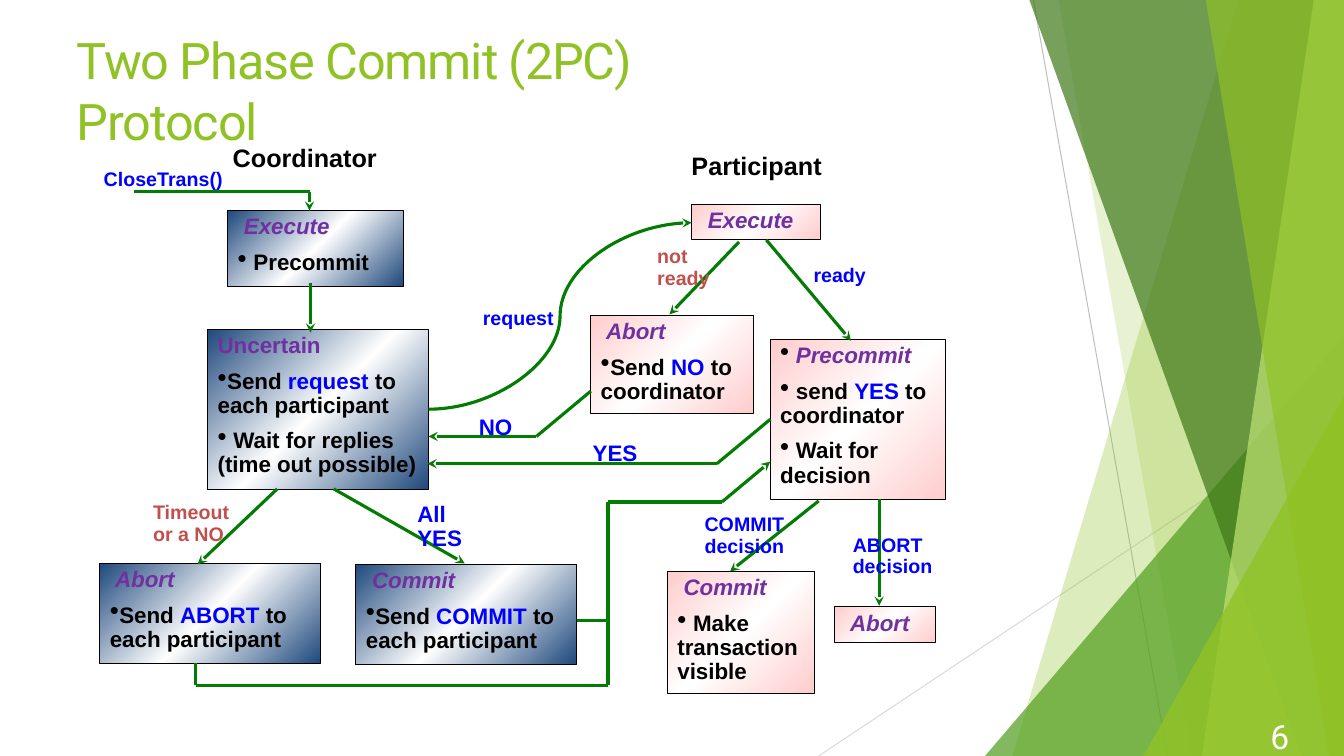
from copy import deepcopy
from dataclasses import dataclass

from lxml import etree
from pptx import Presentation
from pptx.dml.color import RGBColor
from pptx.enum.shapes import MSO_CONNECTOR, MSO_SHAPE
from pptx.enum.text import MSO_ANCHOR, PP_ALIGN
from pptx.oxml.ns import qn
from pptx.util import Inches, Pt

STRAIGHT, CURVE = MSO_CONNECTOR.STRAIGHT, MSO_CONNECTOR.CURVE
RECTANGLE = MSO_SHAPE.RECTANGLE
TOP, LEFT = MSO_ANCHOR.TOP, PP_ALIGN.LEFT


@dataclass(frozen=True)
class Theme:
    diagram_font: str = "Arial"
    title_font: str = "Roboto"
    black: str = "000000"
    white: str = "FFFFFF"
    title: str = "90C225"
    state: str = "7030A0"
    message: str = "0000FF"
    failure: str = "C0504D"
    arrow: str = "037C03"
    coordinator: str = "1F497D"
    participant: str = "FFCCCC"
    title_size: float = 36
    number_size: float = 24
    role_size: float = 18
    body_size: float = 16
    label_size: float = 14


THEME = Theme()


def add_run(paragraph, text, *, font=THEME.diagram_font, size=THEME.body_size,
            color=THEME.black, bold=True, italic=False, spacing=None):
    run = paragraph.add_run()
    run.text = text
    run.font.name, run.font.size = font, Pt(size)
    run.font.color.rgb = RGBColor.from_string(color)
    run.font.bold, run.font.italic = bold, italic
    if spacing is not None:
        run.font._element.set("spc", str(spacing))


def add_bullet(paragraph):
    properties = paragraph._p.get_or_add_pPr()
    bullet_color = etree.SubElement(properties, qn("a:buClr"))
    etree.SubElement(bullet_color, qn("a:srgbClr"), val=THEME.black)
    etree.SubElement(properties, qn("a:buSzPct"), val="120000")
    etree.SubElement(properties, qn("a:buChar"), char="•")


class CommitSlide:
    """Draws the elements of the commit protocol slide in one theme."""

    def __init__(self, slide, theme):
        self.slide, self.theme = slide, theme

    def facet(self, points, color, opacity):
        start, *others = [(Inches(x), Inches(y)) for x, y in points]
        builder = self.slide.shapes.build_freeform(*start)
        builder.add_line_segments(others, close=True)
        shape = builder.convert_to_shape()
        shape.shadow.inherit = False
        shape.fill.solid()
        shape.fill.fore_color.rgb = RGBColor.from_string(color)
        shape.line.fill.background()
        fill_color = shape._element.spPr.find(qn("a:solidFill"))[0]
        etree.SubElement(fill_color, qn("a:alpha"), val=str(opacity * 1000))

    def line(self, start, end, *, kind=STRAIGHT, color=None, width=2.25, arrow=False):
        connector = self.slide.shapes.add_connector(
            kind, *[Inches(value) for value in (*start, *end)])
        connector.line.color.rgb = RGBColor.from_string(color or self.theme.arrow)
        connector.line.width = Pt(width)
        if arrow:
            etree.SubElement(connector.line._get_or_add_ln(), qn("a:tailEnd"), type="stealth")
        etree.SubElement(connector._element.spPr, qn("a:effectLst"))

    def route(self, points, arrow=True):
        for index, (start, end) in enumerate(zip(points, points[1:]), 2):
            self.line(start, end, arrow=arrow and index == len(points))

    def text(self, area, text, *, inset=True, line_spacing=0.9, **style):
        frame = self.slide.shapes.add_textbox(*[Inches(value) for value in area]).text_frame
        frame.word_wrap = True
        if not inset:
            frame.margin_left = frame.margin_right = 0
            frame.margin_top = frame.margin_bottom = 0
        paragraph = frame.paragraphs[0]
        paragraph.line_spacing = line_spacing
        add_run(paragraph, text, **style)

    def state(self, area, edge, heading, actions=(), *, italic=True, bulleted=False):
        shape = self.slide.shapes.add_shape(RECTANGLE, *[Inches(value) for value in area])
        shape.shadow.inherit = False
        shape.line.color.rgb = RGBColor.from_string(self.theme.black)
        shape.line.width = Pt(0.75)
        shape.fill.gradient()
        shape.fill.gradient_angle = 315
        stop_list = shape._element.spPr.find(".//" + qn("a:gsLst"))
        middle = deepcopy(stop_list[0])
        middle.set("pos", "50000")
        stop_list.insert(1, middle)
        for stop, color in zip(shape.fill.gradient_stops, (edge, self.theme.white, edge)):
            stop.color.rgb = RGBColor.from_string(color)
        frame = shape.text_frame
        frame.word_wrap, frame.vertical_anchor = True, TOP
        paragraph = frame.paragraphs[0]
        if bulleted:
            add_bullet(paragraph)
        paragraph.alignment, paragraph.line_spacing = LEFT, 0.9
        add_run(paragraph, heading, color=self.theme.state, italic=italic)
        for action in actions:
            paragraph = frame.add_paragraph()
            add_bullet(paragraph)
            paragraph.alignment, paragraph.line_spacing = LEFT, 0.9
            paragraph.space_before = Pt(8)
            for index, part in enumerate(action):
                add_run(paragraph, part,
                        color=self.theme.message if index == 1 else self.theme.black)


FACETS = [
    ([(13.33, 0), (12.28, 0), (10.04, 7.5), (13.33, 7.5)], "90C225", 30),
    ([(13.33, 0), (10.5, 0), (11.82, 7.5), (13.33, 7.5)], "90C225", 20),
    ([(13.33, 3.33), (9.77, 7.5), (13.33, 7.5)], "539F20", 72),
    ([(13.33, 0), (10.21, 0), (12.91, 7.5), (13.33, 7.5)], "3E7818", 70),
    ([(13.33, 0), (13.03, 0), (11.92, 7.5), (13.33, 7.5)], "C0E374", 70),
    ([(13.33, 0), (11.96, 0), (13.18, 7.5), (13.33, 7.5)], "90C225", 65),
    ([(13.33, 3.93), (11.34, 7.5), (13.33, 7.5)], "90C225", 80),
]
COORDINATOR_STATES = [
    ((2.26, 2.09, 1.74, 0.75), " Execute", [(" Precommit",)]),
    ((3.53, 5.6, 2.19, 0.99), " Commit", [("Send ", "COMMIT", " to each participant")]),
    ((0.99, 5.59, 2.19, 0.99), " Abort", [("Send ", "ABORT", " to each participant")]),
]
PARTICIPANT_STATES = [
    ((6.86, 2.03, 1.28, 0.35), " Execute", []),
    ((5.86, 3.13, 1.61, 0.97), " Abort", [("Send ", "NO", " to coordinator")]),
    ((6.62, 5.67, 1.46, 1.21), " Commit", [(" Make transaction visible",)]),
    ((8.28, 6.02, 1, 0.35), " Abort", []),
]
ARROW_ROUTES = [
    [(1.33, 1.9), (3.07, 1.9), (3.07, 2.09)],
    [(3.08, 2.81), (3.08, 3.3)],
    [(2.75, 4.85), (1.96, 5.6)],
    [(3.31, 4.85), (4.61, 5.59)],
    [(7.33, 2.4), (6.64, 3.12)],
    [(7.6, 2.38), (8.44, 3.38)],
    [(5.86, 3.88), (5.32, 4.33), (4.25, 4.33)],
    [(7.64, 4.16), (7.11, 4.6), (4.24, 4.6)],
    [(1.94, 6.58), (1.94, 6.8), (6.03, 6.8), (6.03, 4.98), (7.16, 4.98), (7.64, 4.58)],
    [(8.12, 4.97), (7.24, 5.67)],
    [(8.72, 4.95), (8.72, 6.01)],
]
LABELS = [
    ((2.21, 1.4, 1.82, 0.37), "Coordinator", THEME.role_size, THEME.black),
    ((6.76, 1.48, 1.82, 0.37), "Participant", THEME.role_size, THEME.black),
    ((4.65, 4.08, 0.65, 0.34), "NO", THEME.body_size, THEME.message),
    ((5.78, 4.34, 0.65, 0.34), "YES", THEME.body_size, THEME.message),
    ((4.04, 4.94, 0.65, 0.58), "All YES", THEME.body_size, THEME.message),
    ((4.69, 3.01, 0.97, 0.31), "request", THEME.label_size, THEME.message),
    ((7.97, 2.59, 0.82, 0.31), "ready", THEME.label_size, THEME.message),
    ((6.42, 2.4, 0.97, 0.52), "not ready", THEME.label_size, THEME.failure),
    ((1.42, 4.94, 0.97, 0.52), "Timeout or a NO", THEME.label_size, THEME.failure),
    ((6.89, 5.06, 1.14, 0.52), "COMMIT decision", THEME.label_size, THEME.message),
    ((8.36, 5.26, 1.14, 0.52), "ABORT decision", THEME.label_size, THEME.message),
    ((0.93, 1.63, 1.61, 0.31), "CloseTrans()", THEME.label_size, THEME.message),
]


def main():
    presentation = Presentation()
    presentation.slide_width, presentation.slide_height = Inches(13.33), Inches(7.5)
    slide = CommitSlide(presentation.slides.add_slide(presentation.slide_layouts[6]), THEME)
    slide.line((10.25, 0), (11.58, 7.5), color="BEBEBE", width=0.72)
    slide.line((13.33, 4.03), (8.12, 7.5), color="D9D9D9", width=0.72)
    for points, color, opacity in FACETS:
        slide.facet(points, color, opacity)
    for area, heading, actions in COORDINATOR_STATES:
        slide.state(area, THEME.coordinator, heading, actions)
    slide.state((2.06, 3.27, 2.19, 1.59), THEME.coordinator, "Uncertain",
                [("Send ", "request", " to each participant"),
                 (" Wait for replies (time out possible)",)], italic=False)
    for area, heading, actions in PARTICIPANT_STATES:
        slide.state(area, THEME.participant, heading, actions)
    slide.state((7.64, 3.37, 1.74, 1.59), THEME.participant, " Precommit",
                [(" send ", "YES", " to coordinator"), (" Wait for decision",)], bulleted=True)
    slide.line((4.25, 4.06), (6.86, 2.21), kind=CURVE, arrow=True)
    for points in ARROW_ROUTES:
        slide.route(points)
    slide.route([(5.72, 6.16), (6.03, 6.16)], arrow=False)
    for area, text, size, color in LABELS:
        slide.text(area, text, size=size, color=color)
    slide.text((12.6, 7.11, 0.72, 0.39), "6", inset=False, line_spacing=Pt(28.4),
               font=THEME.title_font, size=THEME.number_size, color=THEME.white, bold=False)
    slide.text((0.76, 0.29, 7.3, 0.62), "Two Phase Commit (2PC) Protocol", inset=False,
               line_spacing=1.0, font=THEME.title_font, size=THEME.title_size,
               color=THEME.title, bold=False, spacing=-80)
    presentation.save("out.pptx")


if __name__ == "__main__":
    main()
